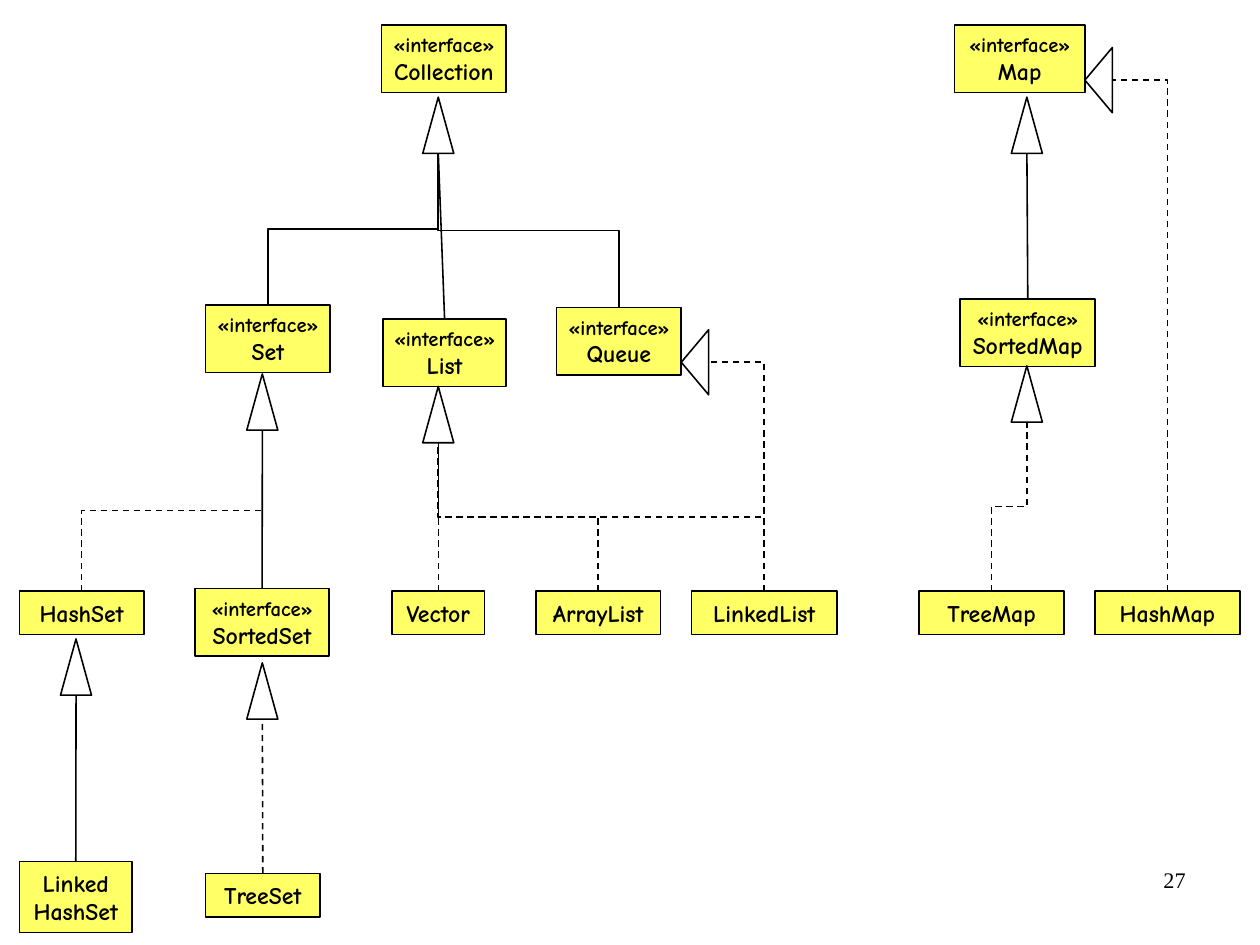
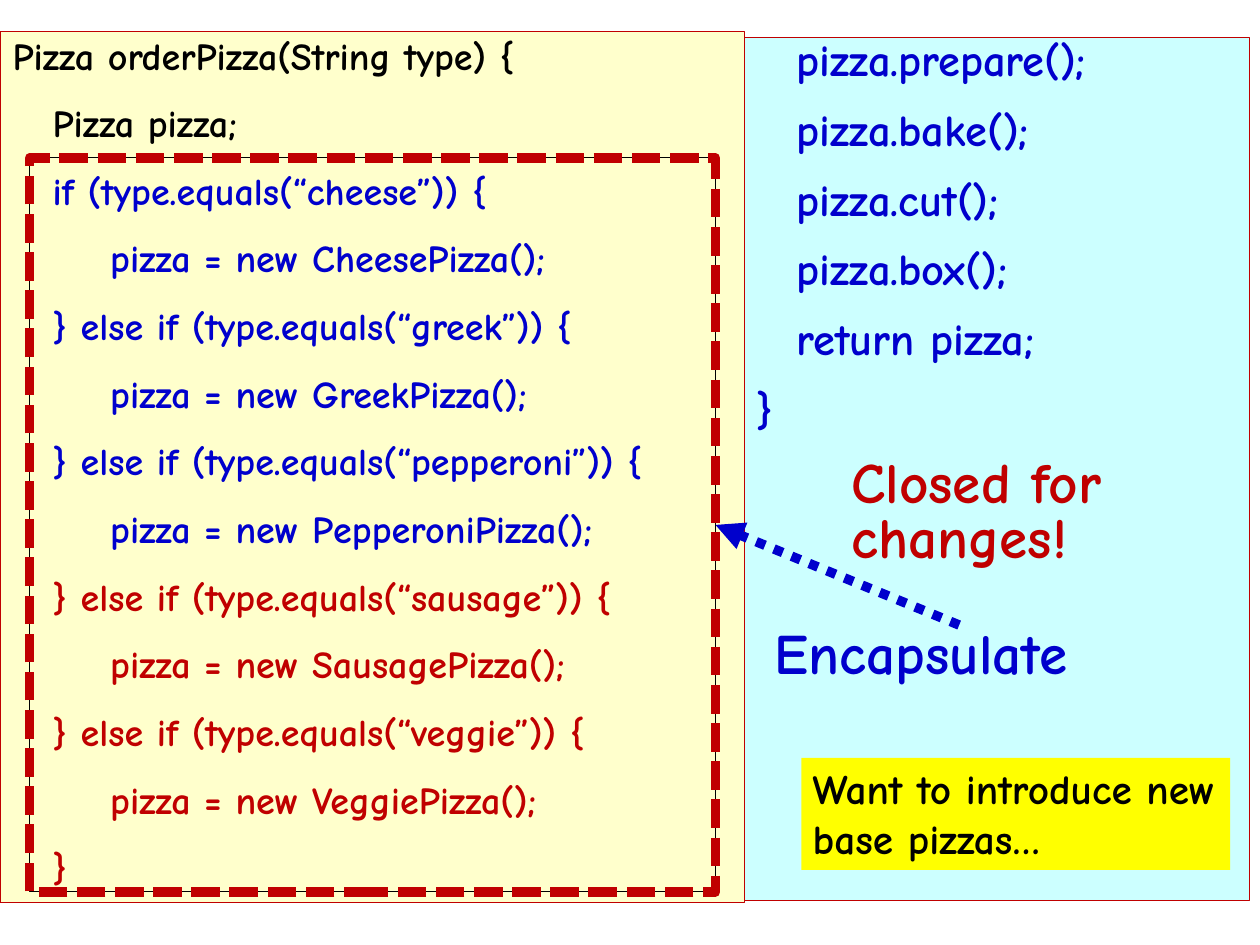
from dataclasses import dataclass

from lxml import etree
from pptx import Presentation
from pptx.dml.color import RGBColor
from pptx.enum.dml import MSO_LINE
from pptx.enum.shapes import MSO_CONNECTOR, MSO_SHAPE
from pptx.enum.text import MSO_ANCHOR, PP_ALIGN
from pptx.oxml.ns import qn
from pptx.util import Cm, Pt

RECTANGLE, TRIANGLE = MSO_SHAPE.RECTANGLE, MSO_SHAPE.ISOSCELES_TRIANGLE
STRAIGHT, ELBOW = MSO_CONNECTOR.STRAIGHT, MSO_CONNECTOR.ELBOW
DASH, SHORT_DASH, DOT = MSO_LINE.DASH, MSO_LINE.SQUARE_DOT, MSO_LINE.ROUND_DOT
LEFT, CENTER, RIGHT = PP_ALIGN.LEFT, PP_ALIGN.CENTER, PP_ALIGN.RIGHT
TOP, MIDDLE = MSO_ANCHOR.TOP, MSO_ANCHOR.MIDDLE


@dataclass(frozen=True)
class Theme:
    font: str = "Comic Neue"
    number_font: str = "Times New Roman"
    black: str = "000000"
    white: str = "FFFFFF"
    blue: str = "0000CC"
    red: str = "C00000"
    class_fill: str = "FFFF66"
    open_fill: str = "FFFFCC"
    closed_fill: str = "CCFFFF"
    note_fill: str = "FFFF00"
    stereotype: int = 13
    number: int = 14
    class_name: int = 15
    code: int = 24
    note: int = 26
    steps: int = 28
    callout: int = 36


theme = Theme()


def add_box(slide, box, lines=(), *, kind=RECTANGLE, fill=None, line=None, weight=1,
            dash=None, size=theme.class_name, color=theme.black, font=theme.font,
            bold=True, align=LEFT, anchor=TOP, insets=(0.25, 0.13), spacing=None, after=0):
    place = [Cm(length) for length in box]
    if kind is None:
        shape = slide.shapes.add_textbox(*place)
    else:
        shape = slide.shapes.add_shape(kind, *place)
        shape.shadow.inherit = False
        if fill:
            shape.fill.solid()
            shape.fill.fore_color.rgb = RGBColor.from_string(fill)
        else:
            shape.fill.background()
        if line:
            shape.line.color.rgb = RGBColor.from_string(line)
            shape.line.width = Pt(weight)
            shape.line.dash_style = dash
        else:
            shape.line.fill.background()
    if not lines:
        return shape
    frame = shape.text_frame
    frame.word_wrap = True
    frame.vertical_anchor = anchor
    frame.margin_left = frame.margin_right = Cm(insets[0])
    frame.margin_top = frame.margin_bottom = Cm(insets[1])
    for index, entry in enumerate(lines):
        look = {"size": size, "color": color, "indent": 0, **entry}
        paragraph = frame.add_paragraph() if index else frame.paragraphs[0]
        paragraph.text = look["text"]
        paragraph.alignment = align
        paragraph.line_spacing = spacing
        paragraph.space_after = Pt(after)
        paragraph._p.get_or_add_pPr().set("marL", str(int(Cm(look["indent"]))))
        paragraph.font.name = font
        paragraph.font.size = Pt(look["size"])
        paragraph.font.bold = bold
        paragraph.font.color.rgb = RGBColor.from_string(look["color"])
    return shape


def add_link(slide, start, end, *, preset=None, color=theme.black, weight=1, dash=None,
             arrow=False):
    (x1, y1), (x2, y2) = start, end
    if preset:
        rise, run = abs(y1 - y2), abs(x2 - x1)
        left, top = (x1 + x2 - rise) / 2, (y1 + y2 - run) / 2
        link = slide.shapes.add_connector(
            ELBOW, Cm(left), Cm(top), Cm(left + rise), Cm(top + run))
        frame = link._element.spPr.find(qn("a:xfrm"))
        frame.set("rot", str((270 if x2 > x1 else 90) * 60000))
        if x2 < x1:
            frame.set("flipH", "1")
        link._element.spPr.find(qn("a:prstGeom")).set("prst", preset)
    else:
        link = slide.shapes.add_connector(STRAIGHT, Cm(x1), Cm(y1), Cm(x2), Cm(y2))
    link.line.color.rgb = RGBColor.from_string(color)
    link.line.width = Pt(weight)
    link.line.dash_style = dash
    if arrow:
        etree.SubElement(link._element.spPr.find(qn("a:ln")), qn("a:tailEnd"),
                         type="triangle")
    etree.SubElement(link._element.spPr, qn("a:effectLst"))
    return link


deck = Presentation()
deck.slide_width, deck.slide_height = Cm(28), Cm(21)
blank = deck.slide_layouts[6]

hierarchy = deck.slides.add_slide(blank)
add_box(hierarchy, (20.07, 19.13, 6.53, 1.45), [{"text": "27"}], kind=None,
        size=theme.number, font=theme.number_font, bold=False, align=RIGHT)

interface_height, class_height, class_top = 1.5, 0.97, 13.13
interfaces = {
    "Collection": (8.48, 0.56, 2.77),
    "Set": (4.57, 6.78, 2.77),
    "List": (8.51, 7.09, 2.74),
    "Queue": (12.37, 6.83, 2.77),
    "SortedSet": (4.34, 13.08, 2.97),
    "Map": (21.21, 0.56, 2.9),
    "SortedMap": (21.34, 6.65, 3),
}
classes = {
    "HashSet": (0.43, class_top, 2.77, class_height),
    "Vector": (8.71, class_top, 2.06, class_height),
    "ArrayList": (11.91, class_top, 2.77, class_height),
    "LinkedList": (15.37, class_top, 3.23, class_height),
    "TreeMap": (20.42, class_top, 3.23, class_height),
    "HashMap": (24.33, class_top, 3.23, class_height),
    "TreeSet": (4.57, 19.41, 2.54, class_height),
    "Linked HashSet": (0.43, 19.15, 2.51, 1.57),
}
places = {name: (*place, interface_height) for name, place in interfaces.items()}
places.update(classes)
members = {}
for name, place in places.items():
    if name in interfaces:
        lines = [{"text": "«interface»", "size": theme.stereotype}, {"text": name}]
    else:
        lines = [{"text": word} for word in name.split()]
    members[name] = add_box(hierarchy, place, lines, fill=theme.class_fill,
                            line=theme.black, align=CENTER, anchor=MIDDLE,
                            insets=(0, 0.15))

head_width, head_height = 0.69, 1.25
heads = {
    "Collection": (9.74, 2.16),
    "Map": (22.82, 2.16),
    "Set": (5.83, 8.31),
    "List": (9.74, 8.59),
    "SortedMap": (22.82, 8.13),
    "HashSet": (1.69, 14.2),
    "SortedSet": (5.83, 14.73),
}
for middle, top in heads.values():
    add_box(hierarchy, (middle - head_width / 2, top, head_width, head_height),
            kind=TRIANGLE, fill=theme.white, line=theme.black)

inheritance = [
    ("List", "Collection", None, None),
    ("Queue", "Collection", "bentConnector3", None),
    ("Set", "Collection", "bentConnector3", None),
    ("SortedMap", "Map", None, None),
    ("SortedSet", "Set", None, None),
    ("HashSet", "Set", "bentConnector3", DASH),
    ("Vector", "List", None, DASH),
    ("ArrayList", "List", "bentConnector3", DASH),
    ("LinkedList", "List", "bentConnector3", DASH),
    ("Linked HashSet", "HashSet", None, None),
    ("TreeSet", "SortedSet", None, DASH),
    ("TreeMap", "SortedMap", "bentConnector3", DASH),
]
for child, parent, preset, dash in inheritance:
    left, top, width, height = places[child]
    middle, tip = heads[parent]
    link = add_link(hierarchy, (left + width / 2, top), (middle, tip + head_height),
                    preset=preset, dash=dash)
    if preset is None:
        link.begin_connect(members[child], 0)

side_width, side_height = 1.45, 0.61
for child, parent, level in [("LinkedList", "Queue", 8.05), ("HashMap", "Map", 1.78)]:
    tip = places[parent][0] + places[parent][2]
    left, top, width, height = places[child]
    add_link(hierarchy, (left + width / 2, top), (tip + side_height, level),
             preset="bentConnector2", dash=DASH)
    side_head = add_box(
        hierarchy,
        (tip + (side_height - side_width) / 2, level - side_height / 2,
         side_width, side_height),
        kind=TRIANGLE, fill=theme.white, line=theme.black)
    side_head.rotation = 270

ordering = deck.slides.add_slide(blank)
indents = (0.28, 1.17, 2.45)
order_code = [
    (0, theme.black, "Pizza orderPizza(String type) {"),
    (1, theme.black, "Pizza pizza;"),
    (1, theme.blue, "if (type.equals(“cheese”)) {"),
    (2, theme.blue, "pizza = new CheesePizza();"),
    (1, theme.blue, "} else if (type.equals(“greek”)) {"),
    (2, theme.blue, "pizza = new GreekPizza();"),
    (1, theme.blue, "} else if (type.equals(“pepperoni”)) {"),
    (2, theme.blue, "pizza = new PepperoniPizza();"),
    (1, theme.red, "} else if (type.equals(“sausage”)) {"),
    (2, theme.red, "pizza = new SausagePizza();"),
    (1, theme.red, "} else if (type.equals(“veggie”)) {"),
    (2, theme.red, "pizza = new VeggiePizza();"),
    (1, theme.red, "}"),
]
closing_code = [
    (1, theme.blue, "pizza.prepare();"),
    (1, theme.blue, "pizza.bake();"),
    (1, theme.blue, "pizza.cut();"),
    (1, theme.blue, "pizza.box();"),
    (1, theme.blue, "return pizza;"),
    (0, theme.blue, "}"),
]
panels = [
    ((0, 0.71, 16.54, 19.35), order_code, theme.open_fill, theme.code, None),
    ((16.54, 0.84, 11.23, 19.18), closing_code, theme.closed_fill, theme.steps, 0.9),
]
for place, code, fill, size, spacing in panels:
    lines = [{"text": text, "color": color, "indent": indents[level]}
             for level, color, text in code]
    add_box(ordering, place, lines, fill=fill, line=theme.red, weight=0.75, size=size,
            insets=(0, 0), spacing=spacing, after=13.8)

for color, weight, dash in [(theme.black, 0.75, None), (theme.red, 6, SHORT_DASH)]:
    varying_part = add_box(ordering, (0.66, 3.51, 15.24, 16.31), line=color,
                           weight=weight, dash=dash)

encapsulate = add_box(ordering, (16.97, 13.89, 8.69, 1.5), [{"text": "Encapsulate"}],
                      kind=None, size=theme.callout, color=theme.blue, spacing=0.8)
pointer = add_link(ordering, (21.31, 13.89), (15.9, 11.66), color=theme.blue, weight=6,
                   dash=DOT, arrow=True)
pointer.begin_connect(encapsulate, 0)
pointer.end_connect(varying_part, 3)
add_box(ordering, (18.67, 10.08, 8.69, 2.72), [{"text": "Closed for changes!"}],
        kind=None, size=theme.callout, color=theme.red, spacing=0.8)
add_box(ordering, (17.81, 16.84, 9.53, 2.49),
        [{"text": "Want to introduce new base pizzas…"}],
        fill=theme.note_fill, size=theme.note)

deck.save("out.pptx")
